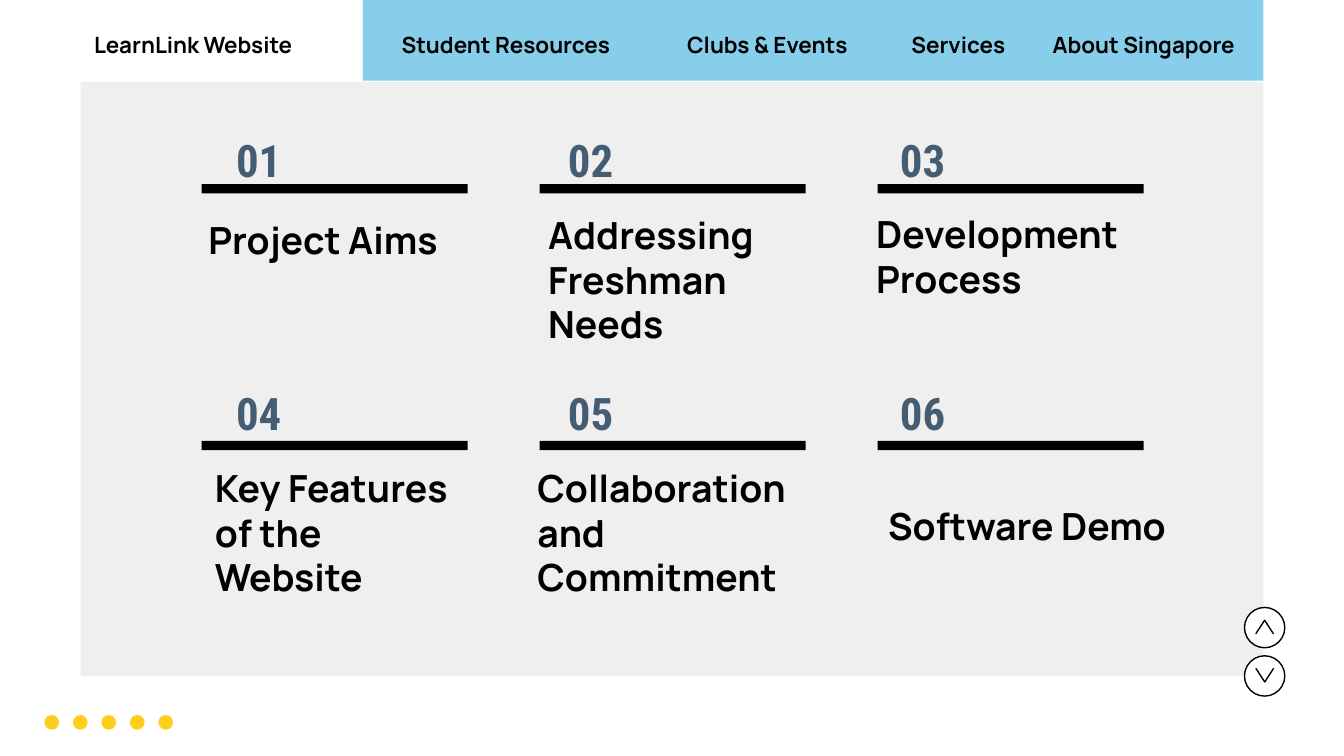
from pptx import Presentation
from pptx.dml.color import RGBColor
from pptx.enum.shapes import MSO_SHAPE as Kind
from pptx.enum.text import MSO_ANCHOR as Anchor, MSO_AUTO_SIZE as Fit, PP_ALIGN as Align
from pptx.util import Inches, Pt

HUES = {"panel": "EFEFEF", "sky": "87CEEB", "gold": "FFCE1C",
        "slate": "445D73", "black": "000000", "white": "FFFFFF"}
CELL = Inches(0.1)  # the slide is a grid of 100 columns by 56.25 rows
LINE = 3.33         # rows taken by one heading line


class Deck:
    def __init__(self):
        self.file = Presentation()
        self.file.slide_width = 100 * CELL
        self.file.slide_height = int(56.25 * CELL)
        self.slide = self.file.slides.add_slide(self.file.slide_layouts[0])

    def color(self, name):
        return RGBColor.from_string(HUES[name])

    def span(self, *cells):
        return [int(n * CELL) for n in cells]

    def shape(self, kind, area, fill, line=None, turn=0, bend=None):
        item = self.slide.shapes.add_shape(kind, *self.span(*area))
        item.shadow.inherit = False
        item.rotation = turn
        item.fill.solid()
        item.fill.fore_color.rgb = self.color(fill)
        if line:
            item.line.color.rgb = self.color(line)
            item.line.width = Pt(0.75)
        else:
            item.line.fill.background()
        if bend is not None:
            item.adjustments[0] = bend

    def text(self, words, area, size, anchor=Anchor.MIDDLE, align=Align.LEFT,
             face="Manrope", hue="black", spare=0, holder=None):
        shapes = self.slide.shapes
        if holder is None:
            item = shapes.add_textbox(*self.span(*area))
        else:
            item = holder
            item.left, item.top, item.width, item.height = self.span(*area)
            shapes.element.append(item.element)  # bring to the front
        frame = item.text_frame
        frame.text = words
        frame.word_wrap = True
        frame.auto_size = Fit.NONE
        frame.vertical_anchor = anchor
        frame.margin_left = frame.margin_right = frame.margin_top = CELL
        frame.margin_bottom = int((1 + spare * LINE) * CELL)
        para = frame.paragraphs[0]
        para.alignment = align
        para.line_spacing = 1.0
        para.space_before = Pt(0)
        font = para.font
        font.name, font.size, font.bold = face, Pt(size), True
        font.color.rgb = self.color(hue)


deck = Deck()
title, brand = deck.slide.placeholders

# Page panel and dots
deck.shape(Kind.RECTANGLE, (6, 6.1, 88, 44.2), "panel")
for i in range(5):
    deck.shape(Kind.OVAL, (3.3 + 2.12 * i, 53.2, 1.1, 1.1), "gold")

# Menu bar
deck.shape(Kind.RECTANGLE, (27, -0.1, 67, 6.1), "sky")
deck.text("LearnLink Website", (6, 2.3, 19.8, 2.1), 12, holder=brand)
for words, left, wide in [("Student Resources", 27, 21.3), ("Clubs & Events", 49, 16.2),
                          ("Services", 66.4, 9.8), ("About Singapore", 76.2, 17.8)]:
    deck.text(words, (left, 2.3, wide, 2.1), 12, align=Align.CENTER)

# Topics: heading, its area, and the lines left free below it
topics = [
    ("Project Aims", (14.5, 14.9, 20.8, 8.9), 1),
    ("Addressing Freshman Needs", (39.8, 15.2, 19.8, 14.9), 1),
    ("Development Process", (64.2, 13.4, 22.1, 10), 0),
    ("Key Features of the Website", (15, 32.9, 19.8, 12.7), 0),
    ("Collaboration and Commitment", (39, 34.7, 22.1, 10.9), 0),
    ("Software Demo", (65.1, 30.9, 23.1, 17.5), 2),
]
for i, (words, area, spare) in enumerate(topics):
    row, col = divmod(i, 3)
    deck.shape(Kind.RECTANGLE, (15 + 25.15 * col, 13.7 + 19.1 * row, 19.8, 0.7), "black")
    deck.text(f"{i + 1:02}", (15.9 + 24.7 * col, 8.6 + 18.8 * row, 6.7, 6.6), 24,
              align=Align.CENTER, face="Roboto Condensed", hue="slate")
    deck.text(words, area, 20, Anchor.BOTTOM, spare=spare,
              holder=title if i == 0 else None)

# Scroll buttons, up and down
for top, turn in [(45.2, 270), (48.8, 90)]:
    deck.shape(Kind.ROUNDED_RECTANGLE, (92.6, top, 3, 3), "white", "black", bend=0.5)
    deck.shape(Kind.CHEVRON, (93.6, top + 0.8, 1, 1.3), "black", "black", turn, 1)

deck.file.save("out.pptx")
